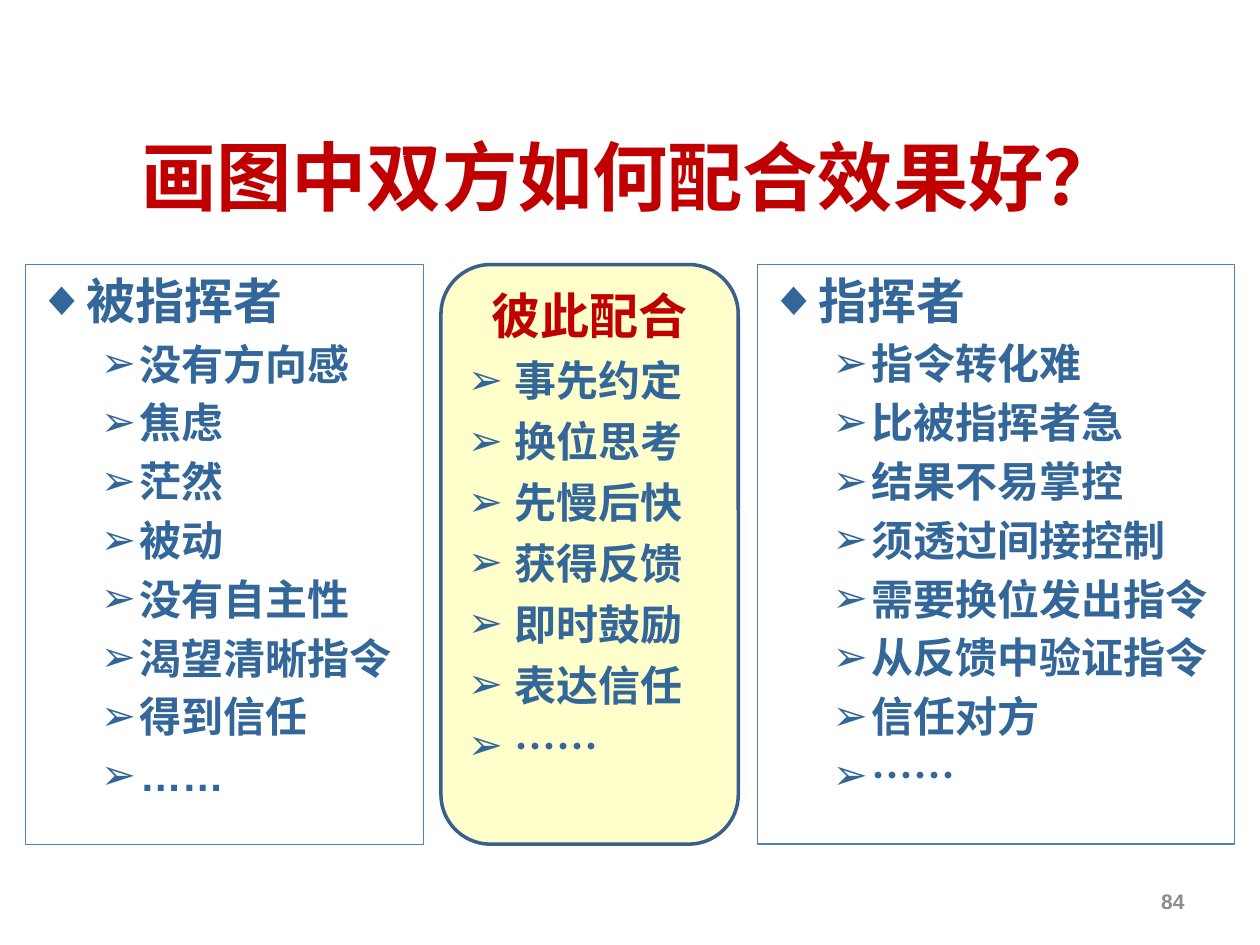
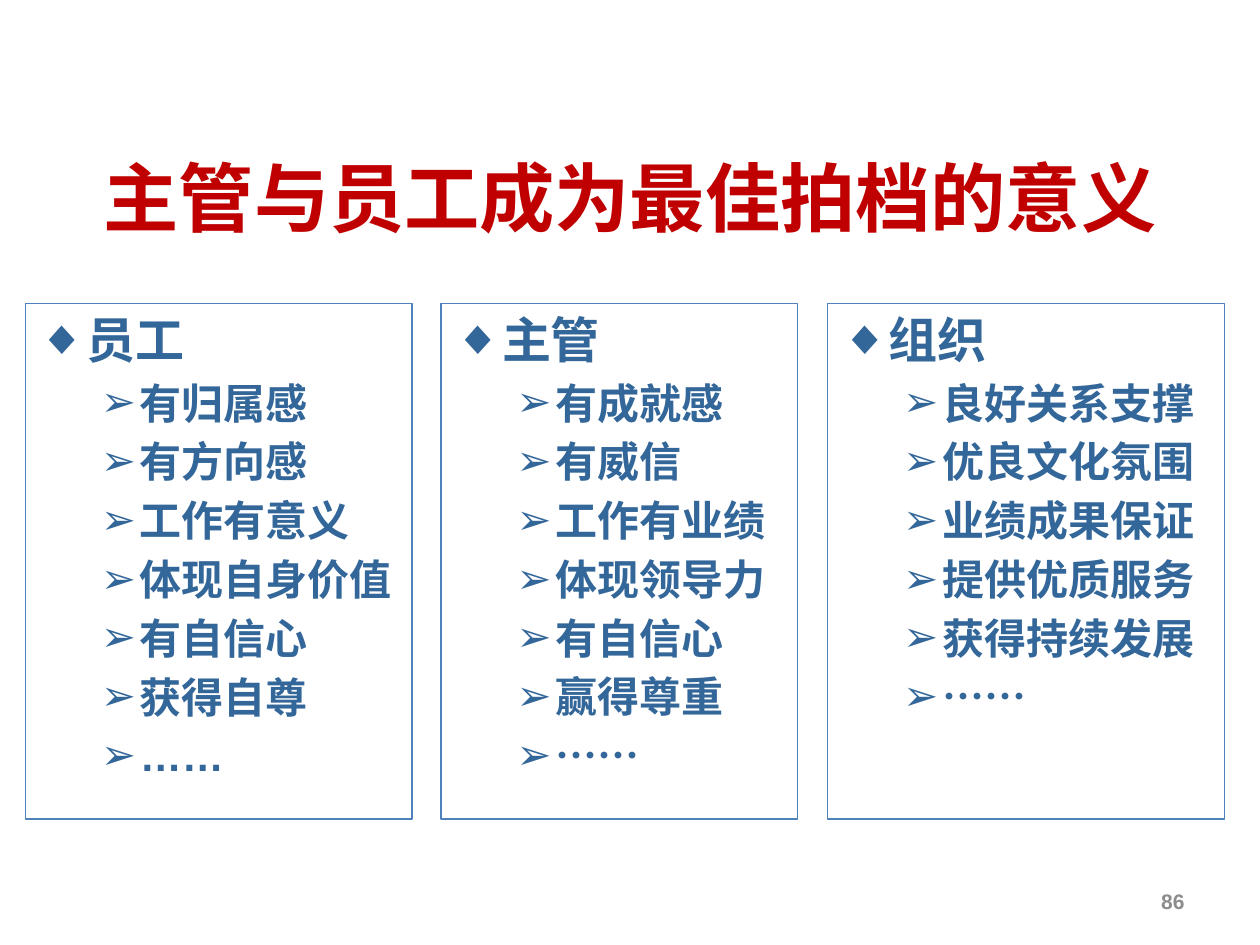
from lxml.etree import SubElement
from pptx import Presentation
from pptx.dml.color import RGBColor
from pptx.enum.shapes import MSO_SHAPE as Shape
from pptx.enum.text import MSO_ANCHOR as Anchor, MSO_AUTO_SIZE as AutoSize, PP_ALIGN as Align
from pptx.oxml.ns import qn
from pptx.util import Inches, Pt

RED, BLUE, BORDER, GREY = "C00000", "336699", "4F81BD", "8C8C8C"
CREAM, NAVY = "FFFFCC", "3A5F8C"
LATIN, CHINESE = "Arial", "Noto Sans CJK SC"
DIAMOND, ARROW = "◆", "➢"
HEADING_SIZE, ITEM_SIZE = 28, 24
LINE_HEIGHT = 1.2


def color(hex_value):
    return RGBColor.from_string(hex_value)


def place(shape, box):
    for name, value in zip(("left", "top", "width", "height"), box):
        setattr(shape, name, Inches(value))


def write(paragraph, text, size, hex_value, font=LATIN, align=Align.LEFT):
    paragraph.alignment = align
    run = paragraph.add_run()
    run.text = text
    for name, value in {"size": Pt(size), "bold": True, "name": font}.items():
        setattr(run.font, name, value)
    run.font.color.rgb = color(hex_value)
    SubElement(run.font._element, qn("a:ea"), typeface=CHINESE)


def set_spacing(paragraph, size, before):
    paragraph.line_spacing = Pt(size * LINE_HEIGHT)
    paragraph.space_before = Pt(before)


def add_bullet(paragraph, symbol, margin, hanging):
    properties = paragraph._p.get_or_add_pPr()
    properties.set("marL", str(Inches(margin)))
    properties.set("indent", str(-Inches(hanging)))
    SubElement(properties, qn("a:buFont"), typeface=LATIN)
    SubElement(properties, qn("a:buChar"), char=symbol)


def prepare_frame(shape, anchor, bottom=0.05):
    frame = shape.text_frame
    settings = {
        "word_wrap": True,
        "auto_size": AutoSize.NONE,
        "vertical_anchor": anchor,
        "margin_left": Inches(0.1),
        "margin_right": Inches(0.1),
        "margin_top": Inches(0.05),
        "margin_bottom": Inches(bottom),
    }
    for name, value in settings.items():
        setattr(frame, name, value)
    return frame


def outline(shape, hex_value, width):
    shape.line.color.rgb = color(hex_value)
    shape.line.width = Pt(width)


def fill_list(shape, heading, items, font):
    outline(shape, BORDER, 0.75)
    frame = prepare_frame(shape, Anchor.TOP)
    paragraph = frame.paragraphs[0]
    write(paragraph, heading, HEADING_SIZE, BLUE, font)
    set_spacing(paragraph, HEADING_SIZE, 0)
    add_bullet(paragraph, DIAMOND, 0.38, 0.38)
    for item in items:
        paragraph = frame.add_paragraph()
        paragraph.level = 1
        write(paragraph, item, ITEM_SIZE, BLUE, font)
        set_spacing(paragraph, ITEM_SIZE, 0.2 * ITEM_SIZE)
        add_bullet(paragraph, ARROW, 0.81, 0.31)


def add_panel(slide, preset, box):
    shape = slide.shapes.add_shape(preset, *map(Inches, box))
    shape.shadow.inherit = False
    return shape


def add_list_panel(slide, box, heading, items):
    panel = add_panel(slide, Shape.RECTANGLE, box)
    panel.fill.background()
    fill_list(panel, heading, items, CHINESE)


def add_cooperation_panel(slide, box, heading, items):
    panel = add_panel(slide, Shape.ROUNDED_RECTANGLE, box)
    panel.fill.solid()
    panel.fill.fore_color.rgb = color(CREAM)
    outline(panel, NAVY, 2)
    frame = prepare_frame(panel, Anchor.MIDDLE, bottom=0.47)
    paragraph = frame.paragraphs[0]
    write(paragraph, heading, HEADING_SIZE, RED, CHINESE, Align.CENTER)
    set_spacing(paragraph, HEADING_SIZE, 6)
    for item in items:
        paragraph = frame.add_paragraph()
        write(paragraph, item, ITEM_SIZE, BLUE, CHINESE)
        set_spacing(paragraph, ITEM_SIZE, 6)
        add_bullet(paragraph, ARROW, 0.37, 0.37)


def add_page_number(slide, number):
    text_box = slide.shapes.add_textbox(*map(Inches, (7.17, 6.95, 2.33, 0.4)))
    frame = prepare_frame(text_box, Anchor.MIDDLE)
    write(frame.paragraphs[0], str(number), 12, GREY, align=Align.RIGHT)


def add_list_slide(presentation, title, title_top, body_box, heading, items, number):
    slide = presentation.slides.add_slide(presentation.slide_layouts[1])
    title_shape, body = slide.shapes.title, slide.placeholders[1]
    place(title_shape, (0.5, title_top, 9, 1.25))
    frame = prepare_frame(title_shape, Anchor.MIDDLE)
    write(frame.paragraphs[0], title, 43, RED, align=Align.CENTER)
    place(body, body_box)
    fill_list(body, heading, items, LATIN)
    add_page_number(slide, number)
    return slide


def build_drawing_slide(presentation):
    top, height = 2.1, 4.6
    slide = add_list_slide(
        presentation, "画图中双方如何配合效果好？", 0.77, (0.2, top, 3.16, height), "被指挥者",
        ["没有方向感", "焦虑", "茫然", "被动", "没有自主性", "渴望清晰指令", "得到信任", "……"], 84)
    add_list_panel(
        slide, (6.01, top, 3.79, height), "指挥者",
        ["指令转化难", "比被指挥者急", "结果不易掌控", "须透过间接控制",
         "需要换位发出指令", "从反馈中验证指令", "信任对方", "……"])
    add_cooperation_panel(
        slide, (3.5, top, 2.36, height), "彼此配合",
        ["事先约定", "换位思考", "先慢后快", "获得反馈", "即时鼓励", "表达信任", "……"])


def build_partner_slide(presentation):
    top, height = 2.41, 4.09
    slide = add_list_slide(
        presentation, "主管与员工成为最佳拍档的意义", 0.93, (0.2, top, 3.07, height), "员工",
        ["有归属感", "有方向感", "工作有意义", "体现自身价值", "有自信心", "获得自尊", "……"], 86)
    add_list_panel(
        slide, (3.5, top, 2.83, height), "主管",
        ["有成就感", "有威信", "工作有业绩", "体现领导力", "有自信心", "赢得尊重", "……"])
    add_list_panel(
        slide, (6.57, top, 3.15, height), "组织",
        ["良好关系支撑", "优良文化氛围", "业绩成果保证", "提供优质服务", "获得持续发展", "……"])


def main():
    presentation = Presentation()
    presentation.slide_width = Inches(10)
    presentation.slide_height = Inches(7.5)
    build_drawing_slide(presentation)
    build_partner_slide(presentation)
    presentation.save("out.pptx")


if __name__ == "__main__":
    main()
